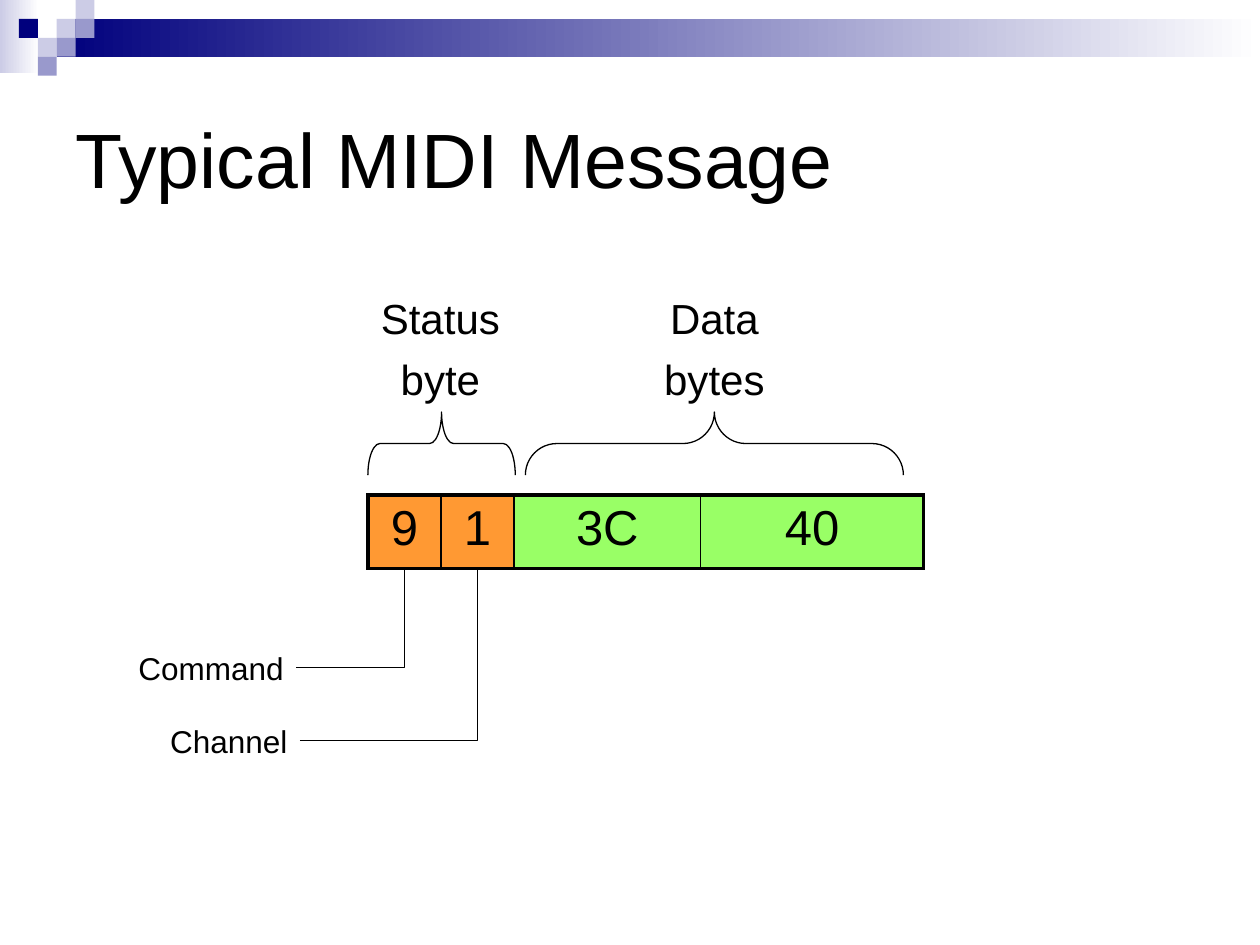
from pptx import Presentation
from pptx.dml.color import RGBColor as RGB
from pptx.enum.shapes import MSO_CONNECTOR as Link, MSO_SHAPE as Shape
from pptx.enum.text import MSO_ANCHOR as Anchor, MSO_AUTO_SIZE as Fit, PP_ALIGN as Align
from pptx.oxml import parse_xml
from pptx.oxml.ns import nsdecls, qn
from pptx.util import Inches, Pt

BLACK = RGB(0, 0, 0)
WHITE = RGB(255, 255, 255)
NAVY = RGB(0, 0, 0x7D)
PALE = RGB(0xCC, 0xCC, 0xE6)
MID = RGB(0x99, 0x99, 0xCC)
ORANGE = RGB(0xFF, 0x99, 0x33)
GREEN = RGB(0x99, 0xFF, 0x66)


def style(frame, size, align):
    for para in frame.paragraphs:
        para.alignment = align
        for run in para.runs:
            run.font.name = "Arial"
            run.font.size = Pt(size)
            run.font.color.rgb = BLACK


def add_block(slide, box, color, fade=False):
    block = slide.shapes.add_shape(Shape.RECTANGLE, *map(Inches, box))
    block.shadow.inherit = False
    block.line.fill.background()
    if fade:
        block.fill.gradient()
        block.fill.gradient_angle = 0
        for stop, tone in zip(block.fill.gradient_stops, (color, WHITE)):
            stop.color.rgb = tone
    else:
        block.fill.solid()
        block.fill.fore_color.rgb = color


def add_banner(slide):
    add_block(slide, (0, 0, 0.31, 0.58), PALE, fade=True)
    add_block(slide, (0.45, 0.15, 9.55, 0.3), NAVY, fade=True)
    # Checker squares as column, row and colour
    side = 0.15
    squares = [(3, 1, PALE), (4, 0, PALE), (4, 1, MID), (2, 2, PALE),
               (1, 1, NAVY), (3, 2, MID), (2, 3, MID)]
    for col, row, color in squares:
        add_block(slide, (col * side, row * side, side, side), color)


def add_title(slide, box, text):
    title = slide.shapes.title
    title.left, title.top, title.width, title.height = map(Inches, box)
    title.text_frame.text = text
    title.text_frame.vertical_anchor = Anchor.MIDDLE
    style(title.text_frame, 44, Align.LEFT)


def add_label(slide, box, text, size, align):
    frame = slide.shapes.add_textbox(*map(Inches, box)).text_frame
    frame.text = text
    frame.word_wrap = False
    frame.auto_size = Fit.SHAPE_TO_FIT_TEXT
    style(frame, size, align)
    for para in frame.paragraphs[1:]:
        para.space_before = Pt(6)


def set_edge(cell, side, width):
    props = cell._tc.get_or_add_tcPr()
    props.append(parse_xml(
        f'<a:{side} {nsdecls("a")} w="{Pt(width)}"><a:solidFill>'
        f'<a:srgbClr val="{BLACK}"/></a:solidFill></a:{side}>'))


def add_bytes(slide, box):
    cells = [("9", 0.58, ORANGE), ("1", 0.58, ORANGE),
             ("3C", 1.48, GREEN), ("40", 1.77, GREEN)]
    table = slide.shapes.add_table(1, len(cells), *map(Inches, box)).table
    last = len(cells) - 1
    for i, (text, width, color) in enumerate(cells):
        table.columns[i].width = Inches(width)
        cell = table.cell(0, i)
        cell.text_frame.text = text
        style(cell.text_frame, 28, Align.CENTER)
        # Heavy outer frame, thin dividers; borders precede the fill
        set_edge(cell, "lnL", 2.25 if i == 0 else 1)
        set_edge(cell, "lnR", 2.25 if i == last else 1)
        set_edge(cell, "lnT", 2.25)
        set_edge(cell, "lnB", 2.25)
        cell.fill.solid()
        cell.fill.fore_color.rgb = color


def add_brace(slide, box, curve):
    # Swap width and height about the centre, then turn the point upwards
    left, top, width, height = box
    shift = (width - height) / 2
    frame = (left + shift, top - shift, height, width)
    brace = slide.shapes.add_shape(Shape.RIGHT_BRACE, *map(Inches, frame))
    brace.rotation = 270
    brace.adjustments[0] = curve
    brace.shadow.inherit = False
    brace.fill.background()
    brace.line.color.rgb = BLACK
    brace.line.width = Pt(0.75)


def add_lead(slide, start, end):
    lead = slide.shapes.add_connector(Link.ELBOW, *map(Inches, start + end))
    lead.line.color.rgb = BLACK
    lead.line.width = Pt(0.75)
    props = lead._element.spPr
    props.find(qn("a:prstGeom")).set("prst", "bentConnector2")
    props.append(parse_xml(f'<a:effectLst {nsdecls("a")}/>'))


def add_diagram(slide, box):
    left, top, width, height = box
    add_bytes(slide, box)

    # Braces and headings above the bytes
    add_brace(slide, (left, top - 0.66, 1.17, 0.5), 0.19)
    add_brace(slide, (left + 1.25, top - 0.66, 3, 0.5), 0.5)
    add_label(slide, (left, top - 1.66, 1.15, 0.98), "Status\nbyte", 24, Align.CENTER)
    add_label(slide, (left + 2.25, top - 1.66, 1, 0.98), "Data\nbytes", 24, Align.CENTER)

    # Names of the two status digits below
    base = top + height + 0.01
    notes = [("Command", 1, 1.35, 5.3, 0.29), ("Channel", 1.25, 1.13, 5.88, 0.87)]
    for text, x, span, y, mid in notes:
        add_lead(slide, (x + span, y), (left + mid, base))
        add_label(slide, (x, y - 0.2, span, 0.4), text, 18, Align.RIGHT)


def main():
    deck = Presentation()
    deck.slide_width, deck.slide_height = Inches(10), Inches(7.5)
    slide = deck.slides.add_slide(deck.slide_layouts[5])
    add_banner(slide)
    add_title(slide, (0.5, 0.5, 9, 1.5), "Typical MIDI Message")
    add_diagram(slide, (2.92, 3.93, 4.42, 0.58))
    deck.save("out.pptx")


if __name__ == "__main__":
    main()
